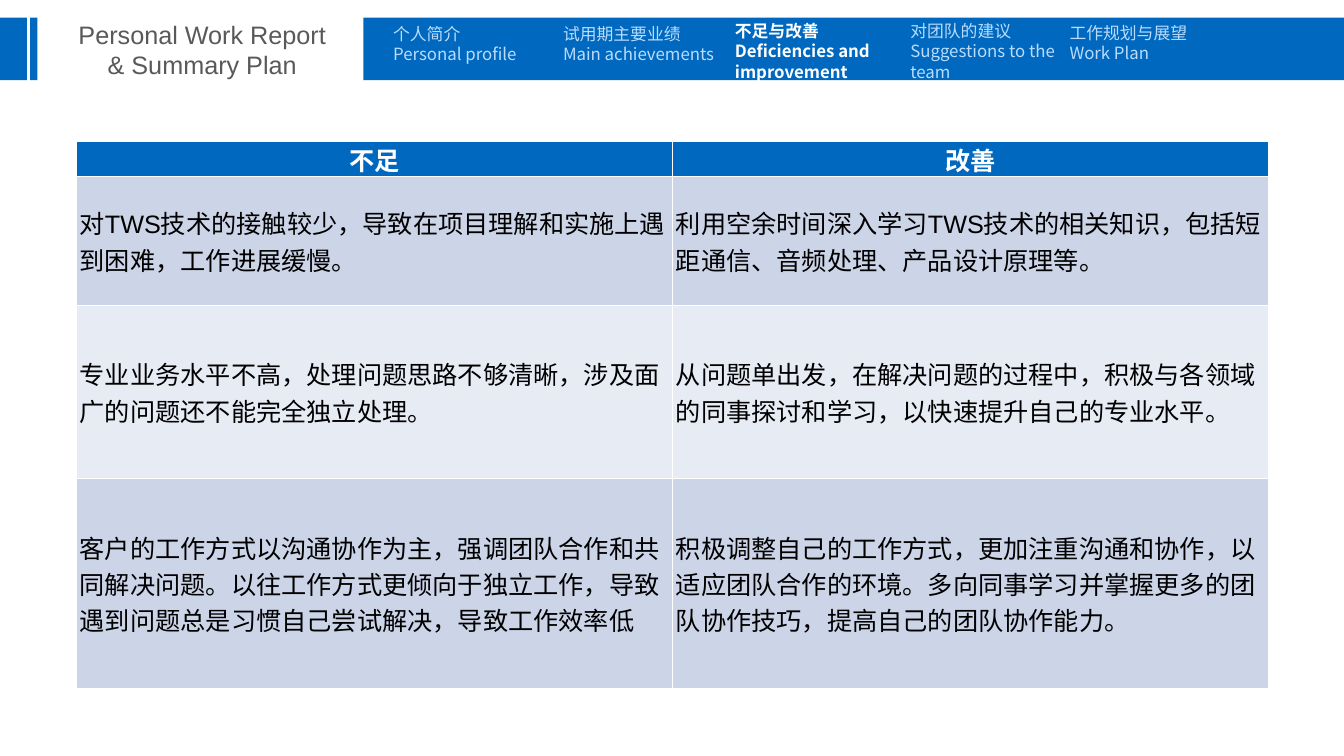
from dataclasses import dataclass

from lxml import etree
from pptx import Presentation
from pptx.dml.color import RGBColor
from pptx.enum.shapes import MSO_SHAPE
from pptx.enum.text import MSO_ANCHOR, PP_ALIGN
from pptx.oxml.ns import qn
from pptx.slide import Slide
from pptx.table import _Cell
from pptx.util import Cm, Pt

RECTANGLE = MSO_SHAPE.RECTANGLE
LEFT, CENTER = PP_ALIGN.LEFT, PP_ALIGN.CENTER
TOP, MIDDLE = MSO_ANCHOR.TOP, MSO_ANCHOR.MIDDLE

BLUE = RGBColor(0x00, 0x69, 0xBF)
PALE_BLUE = RGBColor(0xB9, 0xDC, 0xFE)
GRAY = RGBColor(0x59, 0x59, 0x59)
WHITE = RGBColor(0xFF, 0xFF, 0xFF)
BLACK = RGBColor(0x00, 0x00, 0x00)
BAND_DARK = RGBColor(0xCC, 0xD4, 0xE8)
BAND_LIGHT = RGBColor(0xE7, 0xEB, 0xF4)

LATIN_FONT = "Arial"
CJK_FONT = "Noto Sans CJK SC"


@dataclass(frozen=True)
class TextStyle:
    font: str
    size: float
    color: RGBColor
    bold: bool = False
    align: PP_ALIGN = LEFT
    line_pitch: float | None = None


@dataclass(frozen=True)
class Label:
    left: float
    top: float
    width: float
    height: float
    lines: tuple[str, ...]
    style: TextStyle


TITLE = TextStyle(LATIN_FONT, 36, GRAY, align=CENTER, line_pitch=43)
NAV = TextStyle(CJK_FONT, 24, PALE_BLUE, line_pitch=29)
NAV_CURRENT = TextStyle(CJK_FONT, 24, WHITE, bold=True, line_pitch=29)
HEADING = TextStyle(LATIN_FONT, 36, WHITE, bold=True, align=CENTER)
BODY = TextStyle(LATIN_FONT, 36, BLACK)

BAR_TOP, BAR_HEIGHT = 0.89, 3.15
HEADER_BARS = ((18.31, 49.41), (0, 1.35), (1.52, 0.36))

LABELS = (
    Label(2.06, 0.86, 16.26, 3.33, ("Personal Work Report", "& Summary Plan"), TITLE),
    Label(19.56, 1.07, 6.86, 3.66, ("个人简介", "Personal profile"), NAV),
    Label(28.12, 1.07, 8.43, 2.31, ("试用期主要业绩", "Main achievements"), NAV),
    Label(36.78, 0.91, 9.07, 3.33, ("不足与改善", "Deficiencies and improvement"), NAV_CURRENT),
    Label(45.62, 0.91, 8.59, 3.33, ("对团队的建议", "Suggestions to the team"), NAV),
    Label(53.64, 0.99, 6.5, 2.31, ("工作规划与展望", "Work Plan"), NAV),
)

TABLE_LEFT, TABLE_TOP, TABLE_WIDTH = 3.84, 7.11, 60.07
ROW_HEIGHTS = (1.75, 6.55, 8.71, 10.57)
ROWS = (
    ("不足", "改善"),
    (
        "对TWS技术的接触较少，导致在项目理解和实施上遇到困难，工作进展缓慢。",
        "利用空余时间深入学习TWS技术的相关知识，包括短距通信、音频处理、产品设计原理等。",
    ),
    (
        "专业业务水平不高，处理问题思路不够清晰，涉及面广的问题还不能完全独立处理。",
        "从问题单出发，在解决问题的过程中，积极与各领域的同事探讨和学习，以快速提升自己的专业水平。",
    ),
    (
        "客户的工作方式以沟通协作为主，强调团队合作和共同解决问题。"
        "以往工作方式更倾向于独立工作，导致遇到问题总是习惯自己尝试解决，导致工作效率低",
        "积极调整自己的工作方式，更加注重沟通和协作，以适应团队合作的环境。"
        "多向同事学习并掌握更多的团队协作技巧，提高自己的团队协作能力。",
    ),
)


def write_lines(frame, lines: tuple[str, ...], style: TextStyle) -> None:
    frame.text = "\n".join(lines)
    for paragraph in frame.paragraphs:
        paragraph.alignment = style.align
        if style.line_pitch:
            paragraph.line_spacing = Pt(style.line_pitch)
        font = paragraph.font
        font.name = style.font
        font.size = Pt(style.size)
        font.bold = style.bold
        font.color.rgb = style.color


def draw_bar(slide: Slide, left: float, width: float) -> None:
    bar = slide.shapes.add_shape(RECTANGLE, Cm(left), Cm(BAR_TOP), Cm(width), Cm(BAR_HEIGHT))
    bar.shadow.inherit = False
    bar.fill.solid()
    bar.fill.fore_color.rgb = BLUE
    bar.line.fill.background()


def draw_label(slide: Slide, label: Label) -> None:
    box = slide.shapes.add_textbox(
        Cm(label.left), Cm(label.top), Cm(label.width), Cm(label.height)
    )
    box.text_frame.word_wrap = True
    write_lines(box.text_frame, label.lines, label.style)


def set_borders(cell: _Cell, color: RGBColor, width: float) -> None:
    properties = cell._tc.get_or_add_tcPr()
    for position, side in enumerate(("a:lnL", "a:lnR", "a:lnT", "a:lnB")):
        border = etree.Element(qn(side), w=str(Pt(width)))
        fill = etree.SubElement(border, qn("a:solidFill"))
        etree.SubElement(fill, qn("a:srgbClr"), val=str(color))
        properties.insert(position, border)


def draw_cell(cell: _Cell, text: str, style: TextStyle, fill: RGBColor, anchor: MSO_ANCHOR) -> None:
    cell.margin_left = cell.margin_right = Cm(0.18)
    cell.margin_top = cell.margin_bottom = Cm(0)
    cell.vertical_anchor = anchor
    cell.fill.solid()
    cell.fill.fore_color.rgb = fill
    write_lines(cell.text_frame, (text,), style)
    set_borders(cell, WHITE, 1)


def draw_table(slide: Slide) -> None:
    table = slide.shapes.add_table(
        len(ROWS), len(ROWS[0]),
        Cm(TABLE_LEFT), Cm(TABLE_TOP), Cm(TABLE_WIDTH), Cm(sum(ROW_HEIGHTS)),
    ).table
    for row_index, (texts, height) in enumerate(zip(ROWS, ROW_HEIGHTS)):
        table.rows[row_index].height = Cm(height)
        for column_index, text in enumerate(texts):
            cell = table.cell(row_index, column_index)
            if row_index == 0:
                draw_cell(cell, text, HEADING, BLUE, TOP)
            else:
                band = BAND_DARK if row_index % 2 else BAND_LIGHT
                draw_cell(cell, text, BODY, band, MIDDLE)


def main() -> None:
    presentation = Presentation()
    presentation.slide_width = Cm(67.72)
    presentation.slide_height = Cm(38.1)
    slide = presentation.slides.add_slide(presentation.slide_layouts[6])
    for left, width in HEADER_BARS:
        draw_bar(slide, left, width)
    for label in LABELS:
        draw_label(slide, label)
    draw_table(slide)
    presentation.save("out.pptx")


if __name__ == "__main__":
    main()
